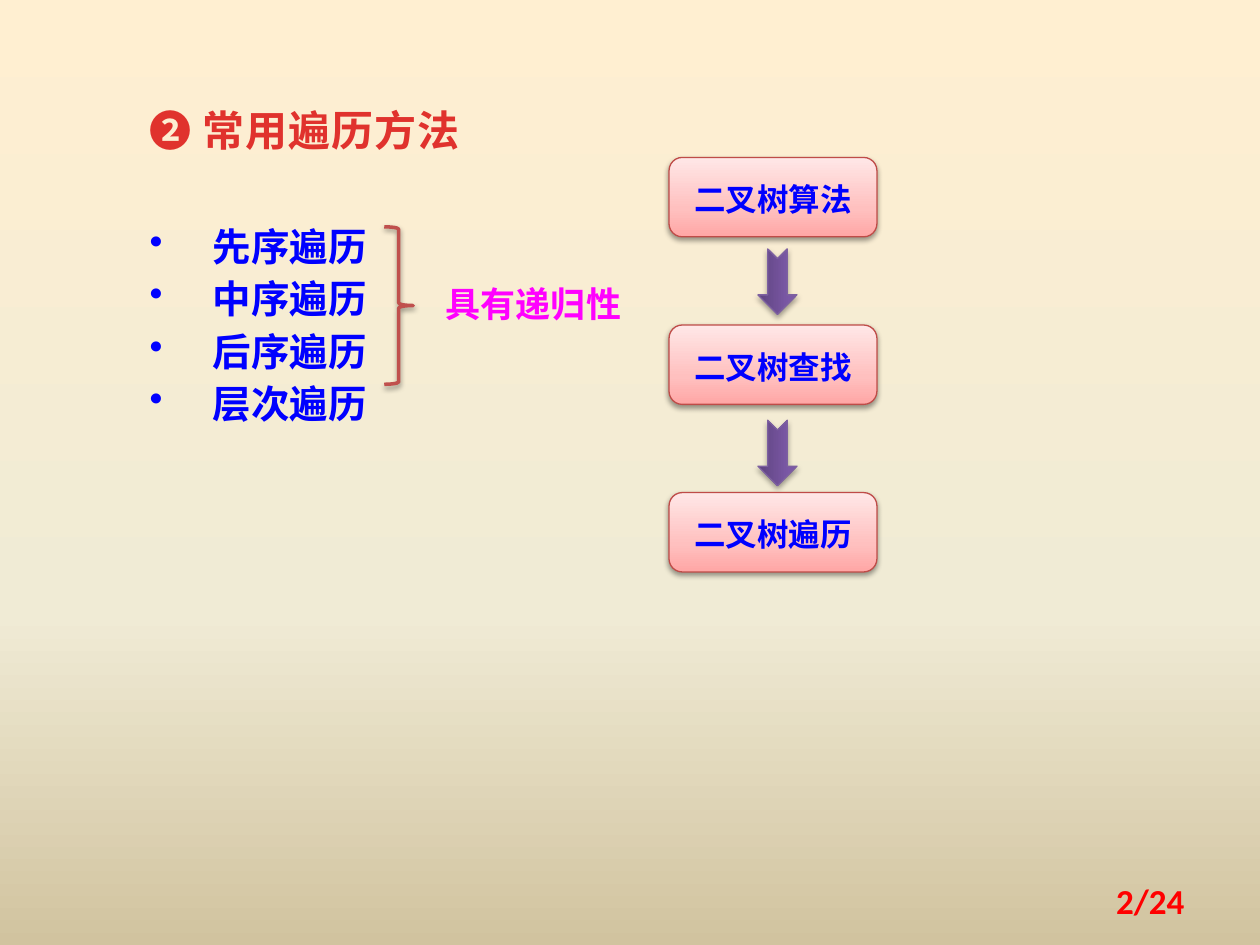
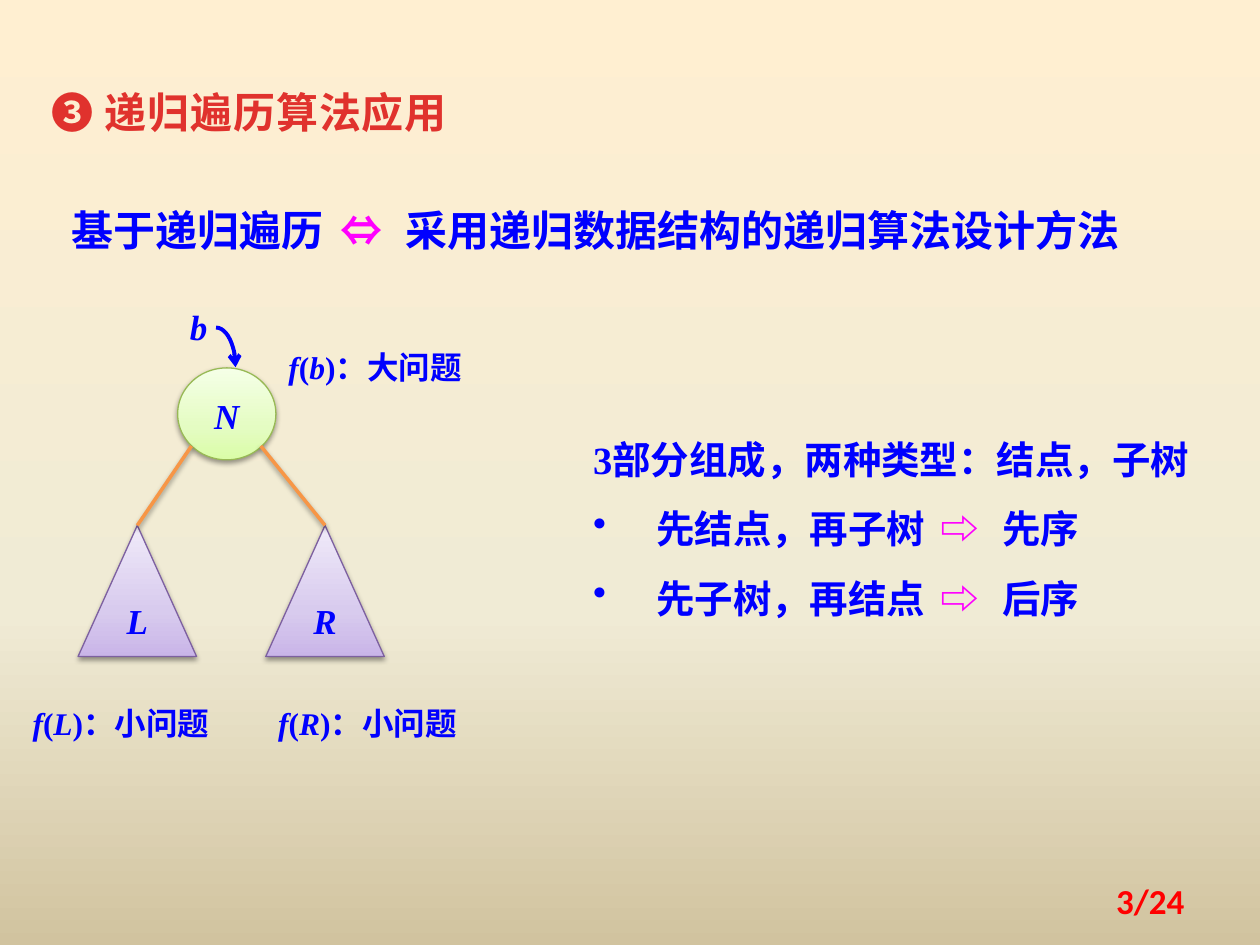
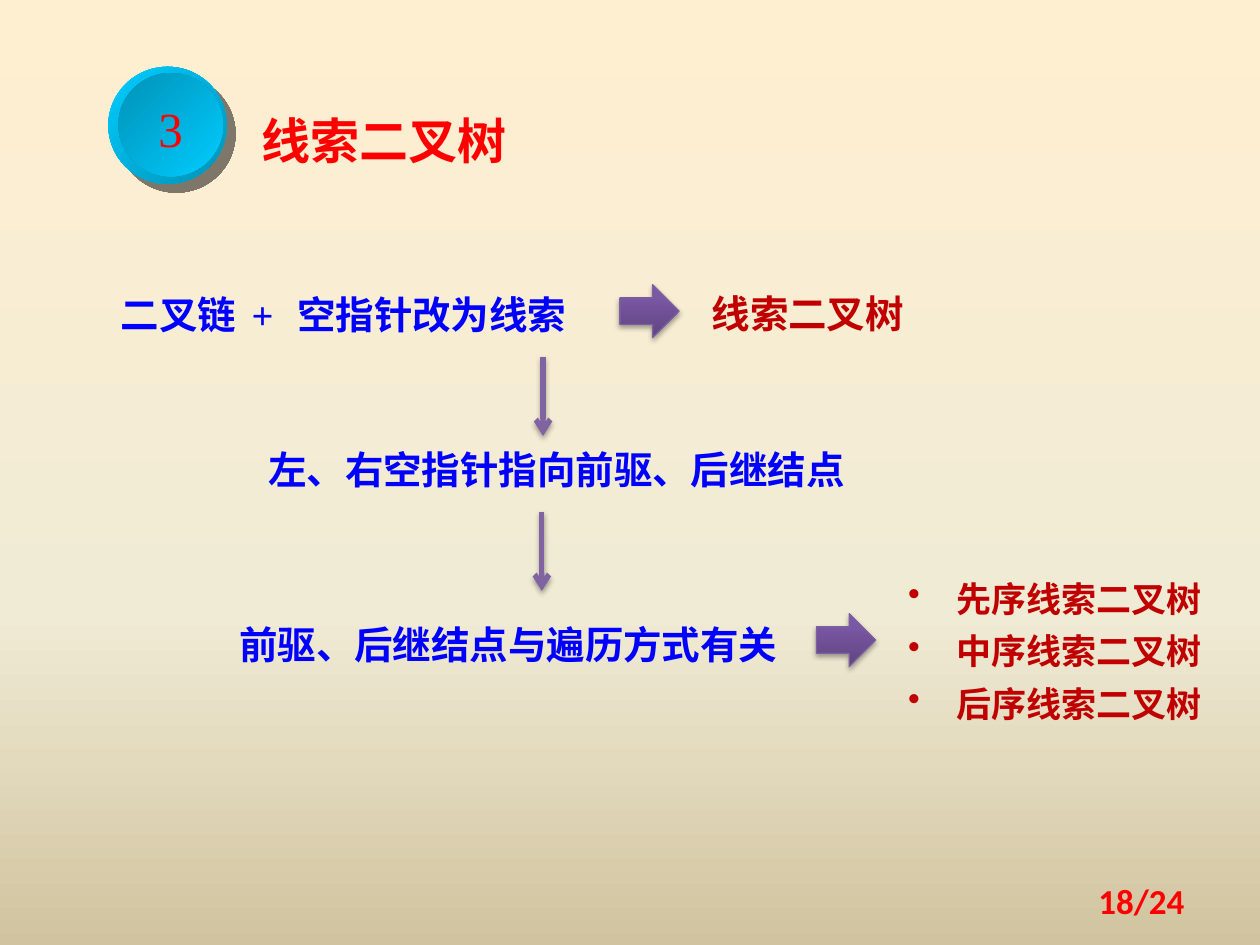
from dataclasses import dataclass

from lxml.etree import SubElement
from pptx import Presentation
from pptx.dml.color import RGBColor
from pptx.enum.shapes import MSO_CONNECTOR as Connector, MSO_SHAPE as Preset
from pptx.enum.text import MSO_ANCHOR as Anchor, MSO_AUTO_SIZE as AutoSize, PP_ALIGN as Align
from pptx.oxml.ns import qn
from pptx.util import Inches, Pt


@dataclass(frozen=True)
class Theme:
    serif: str = "Times New Roman"
    sans: str = "Noto Sans CJK SC"
    footer_font: str = "Calibri"
    blue: str = "0000FF"
    magenta: str = "FF00FF"
    red: str = "FF0000"
    dark_red: str = "C00000"
    heading: str = "E0322D"
    brace: str = "C0504D"
    branch: str = "F79646"
    purple: str = "8064A2"
    box_edge: str = "BF4C48"
    node_edge: str = "98B955"
    tree_edge: str = "7D60A0"
    background: tuple = ((0, "FFEFD1"), (65, "F0EBD5"), (100, "D1C39F"))
    pink: tuple = ((0, "FFA6A5"), (35, "FFC0BF"), (100, "FFE7E7"))
    green: tuple = ((0, "DAFDA7"), (35, "E4FCC2"), (100, "F5FFE7"))
    lilac: tuple = ((0, "C9B5E8"), (35, "D8CBEE"), (100, "F0EAF9"))
    violet: tuple = ((0, "5F4480"), (80, "7B58A6"), (100, "7C57A8"))
    rim: tuple = ((0, "00CCFF"), (100, "0092B6"))
    face: tuple = ((0, "0092B6"), (100, "00CCFF"))
    soft_shadow: tuple = ("000000", 38, 3.1, 1.6, 90)
    arrow_shadow: tuple = ("000000", 35, 3.1, 1.8, 90)
    badge_shadow: tuple = ("020202", 50, 0, 7.1, 45)
    badge_size: int = 28
    title_size: int = 24
    body_size: int = 22
    note_size: int = 20
    label_size: int = 18
    leading: Pt = Pt(30)


class Deck:
    def __init__(self, theme):
        self.theme = theme
        self.presentation = Presentation()
        self.presentation.slide_width = Inches(10)
        self.presentation.slide_height = Inches(7.5)
        self.slide = None

    def new_slide(self, page):
        self.slide = self.presentation.slides.add_slide(self.presentation.slide_layouts[6])
        self.gradient(self.slide.background.fill, self.slide._element, self.theme.background, 90)
        self.text((7.17, 6.95, 2.33, 0.4), [f"{page}/24"], size=self.theme.note_size,
                  font=self.theme.footer_font, color=self.theme.red, leading=1.0,
                  align=Align.RIGHT, anchor=Anchor.MIDDLE, grow=False)

    def gradient(self, fill, holder, stops, angle):
        fill.gradient()
        element = next(holder.iter(qn("a:gradFill")))
        stop_list = element.find(qn("a:gsLst"))
        for old_stop in list(stop_list):
            stop_list.remove(old_stop)
        for position, color in stops:
            stop = SubElement(stop_list, qn("a:gs"), pos=str(position * 1000))
            SubElement(stop, qn("a:srgbClr"), val=color)
        element.find(qn("a:lin")).set("ang", str(angle * 60000))

    def shadow(self, item, values):
        properties = item._element.spPr
        effects = properties.find(qn("a:effectLst"))
        if effects is None:
            effects = SubElement(properties, qn("a:effectLst"))
        if values:
            color, alpha, blur, distance, angle = values
            outer = SubElement(effects, qn("a:outerShdw"), blurRad=str(int(Pt(blur))),
                               dist=str(int(Pt(distance))), dir=str(angle * 60000),
                               rotWithShape="0")
            SubElement(SubElement(outer, qn("a:srgbClr"), val=color),
                       qn("a:alpha"), val=str(alpha * 1000))

    def stroke(self, item, color, width, arrow=False):
        item.line.color.rgb = RGBColor.from_string(color)
        item.line.width = Pt(width)
        if arrow:
            SubElement(item._element.spPr.find(qn("a:ln")), qn("a:tailEnd"), type="arrow")

    def shape(self, preset, box, stops=None, angle=270, line=None, shadow=None,
              arrow=False, rotation=0):
        shape = self.slide.shapes.add_shape(preset, *map(Inches, box))
        shape.rotation = rotation
        shape.shadow.inherit = False
        if stops:
            self.gradient(shape.fill, shape._element, stops, angle)
        else:
            shape.fill.background()
        if line:
            self.stroke(shape, *line, arrow=arrow)
        else:
            shape.line.fill.background()
        self.shadow(shape, shadow)
        return shape

    def line(self, start, end, color, width, shadow, arrow=False):
        connector = self.slide.shapes.add_connector(
            Connector.STRAIGHT, *map(Inches, (*start, *end)))
        self.stroke(connector, color, width, arrow)
        self.shadow(connector, shadow)

    def block_arrow(self, preset, box, rotation=0):
        self.shape(preset, box, self.theme.violet, line=(self.theme.tree_edge, 0.75),
                   shadow=self.theme.arrow_shadow, rotation=rotation)

    def text(self, box, paragraphs, anchor=Anchor.TOP, grow=True, **style):
        frame = self.slide.shapes.add_textbox(*map(Inches, box)).text_frame
        settings = {"word_wrap": True, "vertical_anchor": anchor,
                    "auto_size": AutoSize.SHAPE_TO_FIT_TEXT if grow else AutoSize.NONE}
        for name, value in settings.items():
            setattr(frame, name, value)
        self.fill_frame(frame, paragraphs, **style)

    def label(self, shape, text, wrap=True, **style):
        shape.text_frame.word_wrap = wrap
        shape.text_frame.vertical_anchor = Anchor.MIDDLE
        self.fill_frame(shape.text_frame, [text], align=Align.CENTER, **style)

    def fill_frame(self, frame, paragraphs, align=Align.LEFT, leading=None, half_before=False,
                   indent=0, first_bullet=0, **style):
        for index, content in enumerate(paragraphs):
            paragraph = frame.paragraphs[0] if index == 0 else frame.add_paragraph()
            paragraph.alignment = align
            paragraph.line_spacing = leading or self.theme.leading
            properties = paragraph._p.get_or_add_pPr()
            if half_before:
                paragraph.space_before = Pt(0)
                before = properties.find(qn("a:spcBef"))
                before.remove(before[0])
                SubElement(before, qn("a:spcPct"), val="50000")
            if indent and index >= first_bullet:
                properties.set("marL", str(int(Inches(indent))))
                properties.set("indent", str(-int(Inches(indent))))
                SubElement(properties, qn("a:buChar"), char="•")
            for words, changes in [(content, {})] if isinstance(content, str) else content:
                self.add_words(paragraph, words, **{**style, **changes})

    def add_words(self, paragraph, words, size=None, font=None, color=None, bold=True,
                  italic=False, spacing=0):
        run = paragraph.add_run()
        run.text = words
        values = {"size": Pt(size or self.theme.body_size), "name": font or self.theme.serif,
                  "bold": bold, "italic": italic}
        for name, value in values.items():
            setattr(run.font, name, value)
        run.font.color.rgb = RGBColor.from_string(color or self.theme.blue)
        properties = run._r.get_or_add_rPr()
        if spacing:
            properties.set("spc", str(int(spacing * 100)))
        SubElement(properties, qn("a:ea"), typeface=self.theme.sans)

    def heading(self, box, text):
        self.text(box, [text], size=self.theme.title_size, font=self.theme.sans,
                  color=self.theme.heading, spacing=0.5)

    def problem(self, left, top, variable, kind):
        slanted = {"italic": True}
        runs = [("f", slanted), ("(", {}), (variable, slanted), (f")：{kind}", {})]
        self.text((left, top, 1.72, 0.52), [runs], size=self.theme.label_size)


def traversal_methods(deck, theme):
    deck.new_slide(2)
    deck.text((1.09, 1.67, 2.34, 1.78), ["先序遍历", "中序遍历", "后序遍历", "层次遍历"], indent=0.5)
    deck.heading((1.09, 0.76, 3.13, 0.52), "❷ 常用遍历方法")
    deck.shape(Preset.RIGHT_BRACE, (3.05, 1.8, 0.23, 1.25), line=(theme.brace, 2),
               shadow=theme.soft_shadow)
    deck.text((3.44, 2.11, 1.88, 0.52), ["具有递归性"], size=theme.note_size, color=theme.magenta)
    for index, step in enumerate(("二叉树算法", "二叉树查找", "二叉树遍历")):
        box = deck.shape(Preset.ROUNDED_RECTANGLE, (5.31, 1.25 + 1.33 * index, 1.65, 0.63),
                         theme.pink, line=(theme.box_edge, 0.75), shadow=theme.soft_shadow)
        deck.label(box, step, size=theme.label_size, font=theme.sans, leading=1.1)
        if index < 2:
            deck.block_arrow(Preset.NOTCHED_RIGHT_ARROW,
                             (5.91, 2.08 + 1.36 * index, 0.52, 0.31), rotation=90)


def recursive_applications(deck, theme):
    deck.new_slide(3)
    deck.heading((0.31, 0.62, 3.52, 0.52), "❸ 递归遍历算法应用")
    wide = {"color": theme.magenta, "spacing": 4}
    deck.text((0.47, 1.56, 8.91, 0.52),
              [[("基于递归遍历", {}), (" ⇔ ", wide), ("采用递归数据结构的递归算法设计方法", {})]],
              size=theme.title_size)
    letter = {"size": theme.note_size, "italic": True}
    node = deck.shape(Preset.OVAL, (1.41, 2.92, 0.78, 0.73), theme.green,
                      line=(theme.node_edge, 0.75), shadow=theme.soft_shadow)
    deck.label(node, "N", leading=1.1, half_before=True, **letter)
    for name, left, branch_start in (("L", 0.62, 1.52), ("R", 2.11, 2.07)):
        subtree = deck.shape(Preset.ISOSCELES_TRIANGLE, (left, 4.17, 0.94, 1.04), theme.lilac,
                             line=(theme.tree_edge, 0.75), shadow=theme.soft_shadow)
        deck.label(subtree, name, leading=Pt(20), **letter)
        deck.line((branch_start, 3.54), (left + 0.47, 4.17), theme.branch, 2, theme.soft_shadow)
    deck.shape(Preset.ARC, (1.56, 2.6, 0.31, 0.63), line=(theme.blue, 2.25), arrow=True)
    deck.text((1.41, 2.29, 0.47, 0.52), ["b"], **letter)
    deck.problem(2.19, 2.6, "b", "大问题")
    deck.problem(0.16, 5.42, "L", "小问题")
    deck.problem(2.11, 5.42, "R", "小问题")
    orders = [[(order, {}), (" ⇨ ", wide), (result, {})]
              for order, result in (("先结点，再子树", "先序"), ("先子树，再结点", "后序"))]
    deck.text((4.61, 3.23, 5.08, 1.77), ["3部分组成，两种类型：结点，子树", *orders],
              leading=1.5, indent=0.5, first_bullet=1)


def threaded_trees(deck, theme):
    deck.new_slide(18)
    deck.shape(Preset.OVAL, (0.86, 0.53, 0.94, 0.93), theme.rim, 45, shadow=theme.badge_shadow)
    badge = deck.shape(Preset.OVAL, (0.94, 0.58, 0.83, 0.82), theme.face, 45)
    title = {"size": theme.badge_size, "color": theme.red, "leading": 1.1, "half_before": True}
    deck.label(badge, "3", wrap=False, bold=False, **title)
    deck.text((1.98, 0.78, 2.79, 0.58), ["线索二叉树"], font=theme.sans, **title)
    result = {"font": theme.sans, "color": theme.dark_red}
    deck.text((0.86, 2.21, 4.14, 0.52),
              [[("二叉链", {}), (" + ", {"spacing": 4}), ("空指针改为线索", {})]])
    deck.text((5.55, 2.2, 2.03, 0.52), ["线索二叉树"], **result)
    deck.text((2.03, 3.44, 4.92, 0.52), ["左、右空指针指向前驱、后继结点"])
    deck.text((1.8, 4.83, 4.69, 0.52), ["前驱、后继结点与遍历方式有关"])
    for x, top in ((4.31, 2.83), (4.3, 4.06)):
        deck.line((x, top), (x, top + 0.63), theme.purple, 3, theme.arrow_shadow, arrow=True)
    for left, top in ((4.92, 2.26), (6.48, 4.87)):
        deck.block_arrow(Preset.RIGHT_ARROW, (left, top, 0.47, 0.42))
    deck.text((7.11, 4.45, 2.66, 1.36), [f"{order}线索二叉树" for order in ("先序", "中序", "后序")],
              size=theme.note_size, indent=0.38, **result)


theme = Theme()
deck = Deck(theme)
for build in (traversal_methods, recursive_applications, threaded_trees):
    build(deck, theme)
deck.presentation.save("out.pptx")
